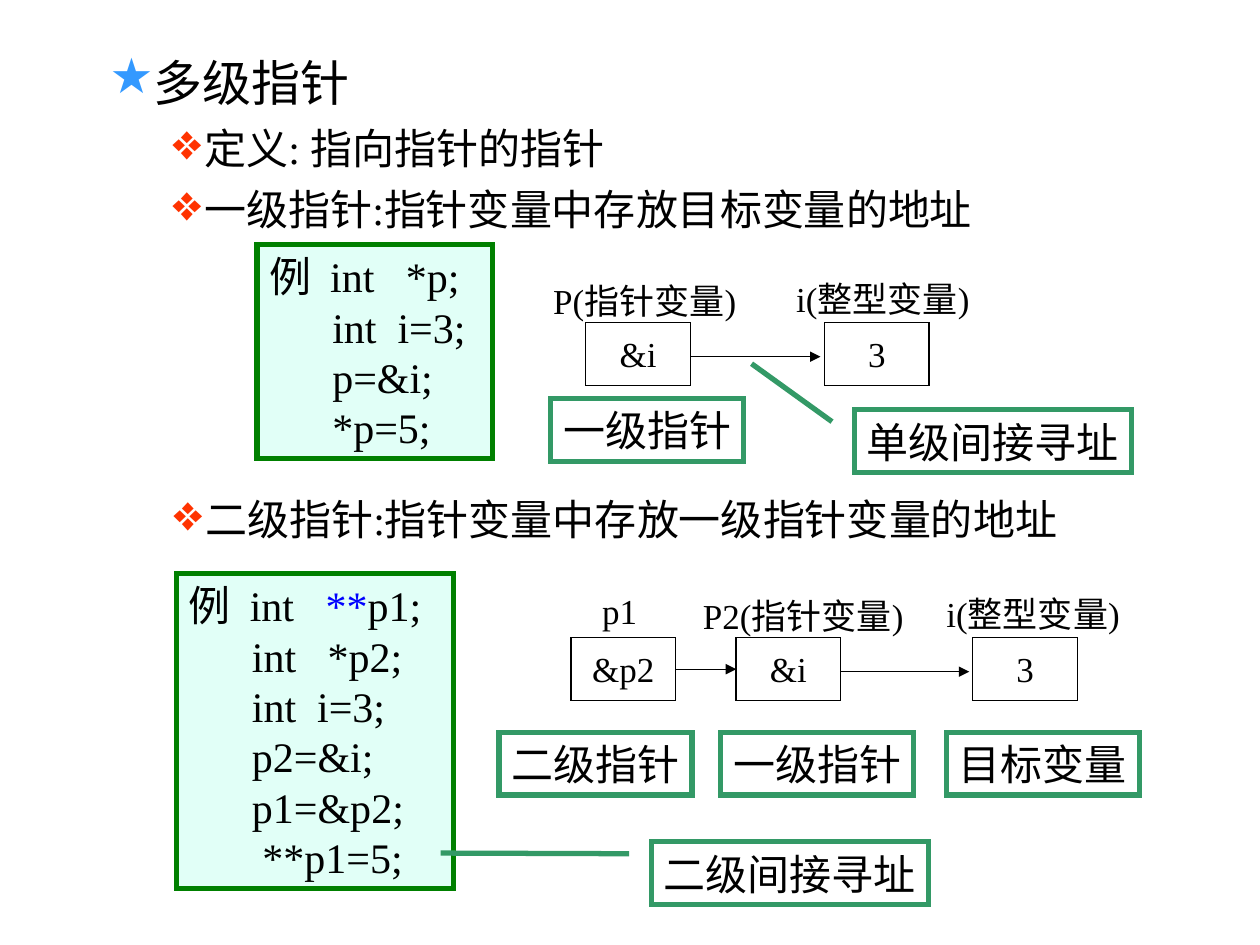
import pptx
import pptx.util
import pptx.dml.color
import pptx.enum.shapes
import pptx.enum.text
import pptx.oxml.ns
import lxml.etree
from dataclasses import dataclass

Cm = pptx.util.Cm
Pt = pptx.util.Pt
qn = pptx.oxml.ns.qn
ShapeType = pptx.enum.shapes.MSO_SHAPE
Align = pptx.enum.text.PP_ALIGN
Anchor = pptx.enum.text.MSO_ANCHOR
AutoSize = pptx.enum.text.MSO_AUTO_SIZE


@dataclass(frozen=True)
class Theme:
    font: str = "Times New Roman"
    ink: str = "000000"
    paper: str = "FFFFFF"
    star: str = "3399FF"
    diamond: str = "FF3300"
    code_fill: str = "E1FFF7"
    code_border: str = "008000"
    code_accent: str = "0000FF"
    caption_border: str = "339966"
    heading_size: int = 28
    body_size: int = 24
    diagram_size: int = 20
    thick: float = 3
    thin: float = 0.75


THEME = Theme()
CELL = (2.11, 1.27)
CAPTION = (3.89, 1.27)
CALLOUT = (5.59, 1.27)
LABEL_HEIGHT = 1.12


def rgb(value):
    return pptx.dml.color.RGBColor.from_string(value)


def add_run(paragraph, text, size, color=THEME.ink):
    run = paragraph.add_run()
    run.text = text
    run.font.name = THEME.font
    run.font.size = Pt(size)
    run.font.color.rgb = rgb(color)


def add_panel(slide, kind, box, fill, border, width):
    shape = slide.shapes.add_shape(kind, *map(Cm, box))
    shape.shadow.inherit = False
    if fill:
        shape.fill.solid()
        shape.fill.fore_color.rgb = rgb(fill)
    else:
        shape.fill.background()
    shape.line.color.rgb = rgb(border)
    shape.line.width = Pt(width)
    lxml.etree.SubElement(shape.line._get_or_add_ln(), qn("a:miter"), lim="800000")
    return shape


def set_centered_text(shape, text, size, wrap):
    frame = shape.text_frame
    frame.word_wrap = wrap
    frame.vertical_anchor = Anchor.MIDDLE
    paragraph = frame.paragraphs[0]
    paragraph.alignment = Align.CENTER
    add_run(paragraph, text, size)


def set_bullet(paragraph, symbol, color, margin, hanging, percent):
    properties = paragraph._p.get_or_add_pPr()
    properties.set("marL", str(Cm(margin)))
    properties.set("indent", str(-Cm(hanging)))
    bullet_color = lxml.etree.SubElement(properties, qn("a:buClr"))
    lxml.etree.SubElement(bullet_color, qn("a:srgbClr"), val=color)
    lxml.etree.SubElement(properties, qn("a:buSzPct"), val=str(percent * 1000))
    lxml.etree.SubElement(properties, qn("a:buChar"), char=symbol)


def add_outline(slide, box, points, heading=None):
    frame = slide.shapes.add_textbox(*map(Cm, box)).text_frame
    frame.word_wrap = True
    paragraph = frame.paragraphs[0]
    if heading:
        set_bullet(paragraph, "★", THEME.star, 2.06, 0.79, 100)
        add_run(paragraph, heading, THEME.heading_size)
    for index, point in enumerate(points):
        follows = bool(heading or index)
        if follows:
            paragraph = frame.add_paragraph()
        set_bullet(paragraph, "❖", THEME.diamond, 3.18, 0.64, 120)
        if follows:
            paragraph.space_before = Pt(6)
        add_run(paragraph, point, THEME.body_size)


def add_code(slide, box, lines):
    shape = add_panel(slide, ShapeType.RECTANGLE, box, THEME.code_fill,
                      THEME.code_border, THEME.thick)
    frame = shape.text_frame
    frame.word_wrap = False
    frame.auto_size = AutoSize.SHAPE_TO_FIT_TEXT
    frame.vertical_anchor = Anchor.TOP
    for index, line in enumerate(lines):
        paragraph = frame.add_paragraph() if index else frame.paragraphs[0]
        paragraph.alignment = Align.LEFT
        for text, color in line:
            add_run(paragraph, text, THEME.body_size, color)


def add_arrow(slide, start, end, y):
    connector = slide.shapes.add_connector(
        pptx.enum.shapes.MSO_CONNECTOR.STRAIGHT, Cm(start), Cm(y), Cm(end), Cm(y))
    connector.line.color.rgb = rgb(THEME.ink)
    connector.line.width = Pt(THEME.thin)
    lxml.etree.SubElement(connector.line._get_or_add_ln(), qn("a:tailEnd"), type="triangle")
    lxml.etree.SubElement(connector._element.spPr, qn("a:effectLst"))


def add_memory_diagram(slide, origin, cell_top, cells, labels, arrows):
    left, top = origin
    for x, text in cells:
        shape = add_panel(slide, ShapeType.RECTANGLE, (left + x, top + cell_top, *CELL),
                          None, THEME.ink, THEME.thin)
        set_centered_text(shape, text, THEME.diagram_size, False)
    for x, y, width, text in labels:
        box = (left + x, top + y, width, LABEL_HEIGHT)
        frame = slide.shapes.add_textbox(*map(Cm, box)).text_frame
        frame.word_wrap = True
        add_run(frame.paragraphs[0], text, THEME.diagram_size)
    for start, end, y in arrows:
        add_arrow(slide, left + start, left + end, top + y)


def add_caption(slide, position, text, pointer=None):
    kind, size = ShapeType.RECTANGLE, CAPTION
    if pointer:
        kind, size = ShapeType.LINE_CALLOUT_1, CALLOUT
    shape = add_panel(slide, kind, (*position, *size), THEME.paper,
                      THEME.caption_border, THEME.thick)
    for index, value in enumerate(pointer or ()):
        shape.adjustments[index] = value
    set_centered_text(shape, text, THEME.body_size, True)
    shape.text_frame.auto_size = AutoSize.SHAPE_TO_FIT_TEXT


def plain(*lines):
    return [[(line, THEME.ink)] for line in lines]


def add_single_level(slide):
    add_outline(slide, (0.69, 0.94, 23.95, 4.06),
                ["定义: 指向指针的指针", "一级指针:指针变量中存放目标变量的地址"], "多级指针")
    add_code(slide, (5.18, 4.93, 4.75, 4.32),
             plain("例  int   *p;", "      int  i=3;", "      p=&i;", "      *p=5;"))
    add_memory_diagram(slide, (10.9, 5.46), 1.04,
                       [(0.91, "&i"), (5.72, "3")],
                       [(0, 0.05, 4.85, "P(指针变量)"), (4.9, 0, 4.7, "i(整型变量)")],
                       [(3.02, 5.64, 1.73)])
    add_caption(slide, (11.1, 8.03), "一级指针")
    add_caption(slide, (17.22, 8.26), "单级间接寻址", (0.19, -0.08, -0.73, -0.37))


def add_double_level(slide):
    add_outline(slide, (0.71, 9.83, 23.95, 1.52), ["二级指针:指针变量中存放一级指针变量的地址"])
    declaration = [("例  int  ", THEME.ink), (" **", THEME.code_accent), ("p1;", THEME.ink)]
    add_code(slide, (3.56, 11.56, 5.59, 6.35),
             [declaration] + plain("      int   *p2;", "      int  i=3;", "      p2=&i;",
                                   "      p1=&p2;", "       **p1=5;"))
    add_memory_diagram(slide, (11.51, 11.76), 1.09,
                       [(0, "&p2"), (3.33, "&i"), (8.1, "3")],
                       [(0.38, 0, 1.4, "p1"), (2.41, 0.1, 5.2, "P2(指针变量)"),
                        (7.32, 0.05, 4.7, "i(整型变量)")],
                       [(2.11, 3.33, 1.73), (5.44, 8.03, 1.78)])
    for x, text in ((10.06, "二级指针"), (14.53, "一级指针"), (19.08, "目标变量")):
        add_caption(slide, (x, 14.76), text)
    add_caption(slide, (13.13, 16.97), "二级间接寻址", (0.19, -0.08, 0.18, -0.76))


def main():
    presentation = pptx.Presentation()
    presentation.slide_width = Cm(25.4)
    presentation.slide_height = Cm(19.05)
    slide = presentation.slides.add_slide(presentation.slide_layouts[6])
    add_single_level(slide)
    add_double_level(slide)
    presentation.save("out.pptx")


if __name__ == "__main__":
    main()
